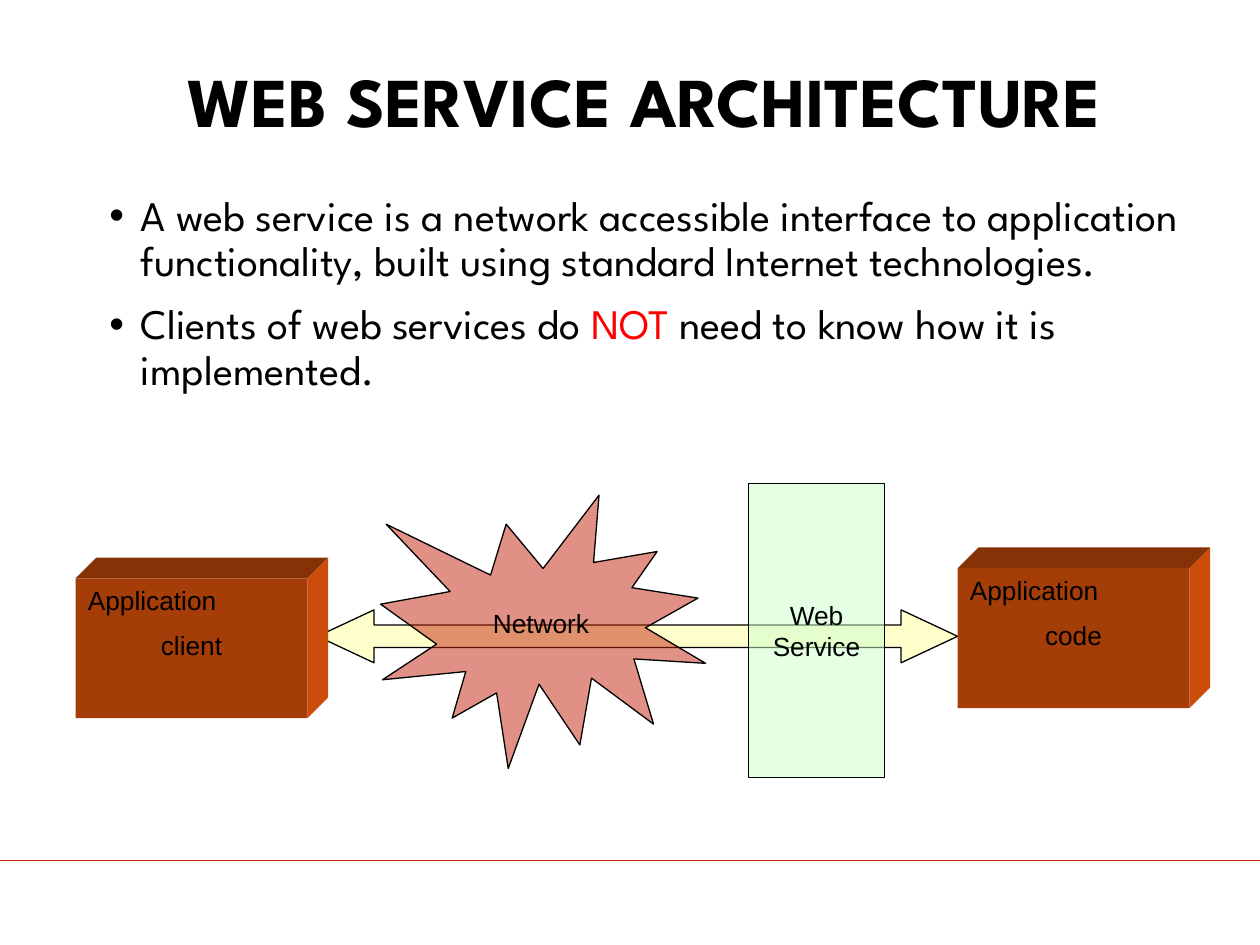
from lxml import etree
from pptx import Presentation
from pptx.dml.color import RGBColor
from pptx.enum.shapes import MSO_CONNECTOR, MSO_SHAPE as SHAPE
from pptx.enum.text import MSO_ANCHOR as ANCHOR, PP_ALIGN as ALIGN
from pptx.oxml.ns import qn
from pptx.util import Inches, Pt

BLACK = RGBColor(0x00, 0x00, 0x00)
RED = RGBColor(0xFF, 0x00, 0x00)
BRICK = RGBColor(0xC4, 0x22, 0x0D)
CREAM = RGBColor(0xFF, 0xFF, 0xCC)
MINT = RGBColor(0xCC, 0xFF, 0xCC)
BOX_FRONT = RGBColor(0xA4, 0x3D, 0x08)
BOX_TOP = RGBColor(0x86, 0x32, 0x07)
BOX_SIDE = RGBColor(0xCB, 0x4C, 0x0B)
HEAD_FONT, LABEL_FONT = "League Spartan", "Arial"

prs = Presentation()
prs.slide_width, prs.slide_height = Inches(10), Inches(7.5)
s = prs.slides.add_slide(prs.slide_layouts[6])
COL, ROW = prs.slide_width / 100, prs.slide_height / 75


def grid(left, top, width, height):
    """Turn columns and rows into slide lengths."""
    return int(left * COL), int(top * ROW), int(width * COL), int(height * ROW)


def write(p, text, font, size, color=BLACK, bold=False, **layout):
    """Add a run and set the paragraph's layout attributes."""
    r = p.add_run()
    r.text = text
    for name, value in {"name": font, "size": Pt(size), "bold": bold}.items():
        setattr(r.font, name, value)
    r.font.color.rgb = color
    for name, value in layout.items():
        setattr(p, name, value)


# Rule across the foot
rule = s.shapes.add_connector(MSO_CONNECTOR.STRAIGHT, 0, int(68.3 * ROW),
                              prs.slide_width, int(68.3 * ROW))
rule.line.color.rgb, rule.line.width = BRICK, Pt(0.75)
etree.SubElement(rule._element.spPr, qn("a:effectLst"))

# Title
tf = s.shapes.add_textbox(*grid(6.5, 4.2, 89.3, 8.3)).text_frame
tf.word_wrap, tf.vertical_anchor = True, ANCHOR.MIDDLE
write(tf.paragraphs[0], "WEB SERVICE ARCHITECTURE", HEAD_FONT, 40, bold=True,
      alignment=ALIGN.CENTER, line_spacing=0.9)

# Bullets
bullets = [
    [("A web service is a network accessible interface to application "
      "functionality, built using standard Internet technologies.", BLACK)],
    [("Clients of web services do ", BLACK), ("NOT", RED),
     (" need to know how it is implemented.", BLACK)],
]
tf = s.shapes.add_textbox(*grid(7.7, 15, 87, 44.5)).text_frame
tf.word_wrap = True
for i, runs in enumerate(bullets):
    p = tf.add_paragraph() if i else tf.paragraphs[0]
    for text, color in runs:
        write(p, text, HEAD_FONT, 24, color, line_spacing=0.9, space_before=Pt(10))
    pPr = p._p.get_or_add_pPr()
    pPr.set("marL", str(Inches(0.25)))
    pPr.set("indent", str(-Inches(0.25)))
    etree.SubElement(pPr, qn("a:buFont"), typeface=LABEL_FONT)
    etree.SubElement(pPr, qn("a:buChar"), char="•")

# Two-way arrow behind the diagram
arrow = s.shapes.add_shape(SHAPE.LEFT_RIGHT_ARROW, *grid(25.2, 48.4, 50.8, 4.2))
arrow.adjustments[0], arrow.adjustments[1] = 0.425, 1.067
arrow.fill.solid()
arrow.fill.fore_color.rgb = CREAM
arrow.line.color.rgb, arrow.line.width = BLACK, Pt(0.75)
arrow.shadow.inherit = False

# Raised boxes: top face, side face and labelled front
BOX_W, BOX_H, DEPTH = 18.4, 11.1, 1.65
for left, top, second_line in [(6, 45.9, "client"), (76, 45.1, "code")]:
    right, bottom = left + BOX_W, top + BOX_H
    back_right, back_top = right + DEPTH, top - DEPTH
    faces = [
        (BOX_TOP, [(left, top), (left + DEPTH, back_top),
                   (back_right, back_top), (right, top)]),
        (BOX_SIDE, [(right, top), (back_right, back_top),
                    (back_right, bottom - DEPTH), (right, bottom)]),
    ]
    parts = []
    for color, corners in faces:
        points = [(int(x * COL), int(y * ROW)) for x, y in corners]
        outline = s.shapes.build_freeform(*points[0])
        outline.add_line_segments(points[1:], close=True)
        parts.append((outline.convert_to_shape(), color))
    front = s.shapes.add_shape(SHAPE.RECTANGLE, *grid(left, top, BOX_W, BOX_H))
    for sp, color in parts + [(front, BOX_FRONT)]:
        sp.fill.solid()
        sp.fill.fore_color.rgb = color
        sp.line.fill.background()
        sp.shadow.inherit = False
    tf = front.text_frame
    tf.vertical_anchor = ANCHOR.TOP
    write(tf.paragraphs[0], "Application", LABEL_FONT, 15,
          alignment=ALIGN.LEFT, space_before=Pt(7.5))
    write(tf.add_paragraph(), second_line, LABEL_FONT, 15,
          alignment=ALIGN.CENTER, space_before=Pt(7.5))

# Half-transparent network burst and web service panel
for kind, place, color, lines in [
    (SHAPE.EXPLOSION1, (30.2, 39.3, 25.8, 21.7), BRICK, ["Network"]),
    (SHAPE.RECTANGLE, (59.4, 38.4, 10.8, 23.3), MINT, ["Web", "Service"]),
]:
    sp = s.shapes.add_shape(kind, *grid(*place))
    sp.fill.solid()
    sp.fill.fore_color.rgb = color
    fill_color = sp._element.spPr.find(qn("a:solidFill"))[0]
    etree.SubElement(fill_color, qn("a:alpha"), val="50000")
    sp.line.color.rgb, sp.line.width = BLACK, Pt(0.75)
    sp.shadow.inherit = False
    tf = sp.text_frame
    tf.word_wrap, tf.vertical_anchor = False, ANCHOR.MIDDLE
    for i, text in enumerate(lines):
        p = tf.add_paragraph() if i else tf.paragraphs[0]
        write(p, text, LABEL_FONT, 15, alignment=ALIGN.CENTER)

prs.save("out.pptx")
